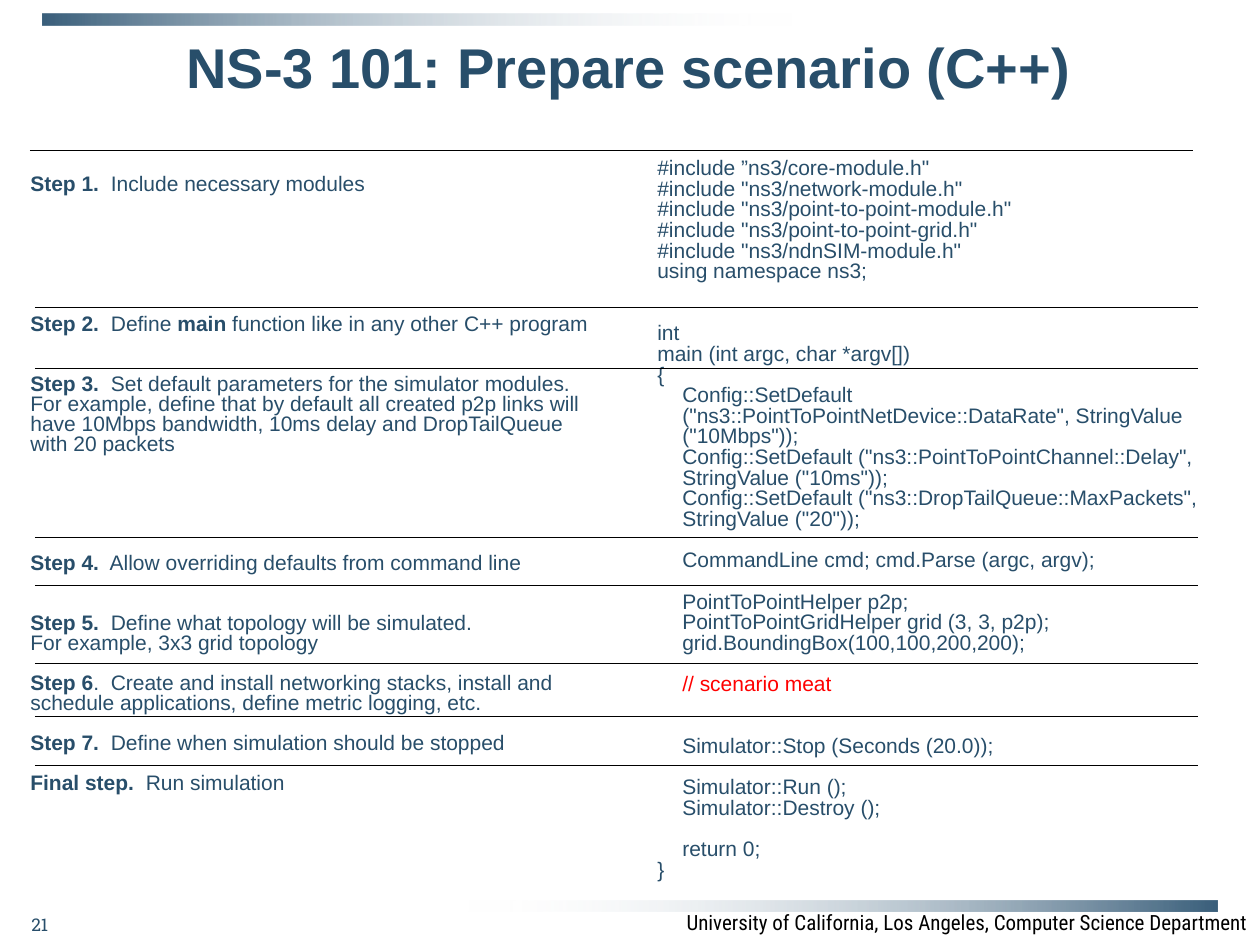
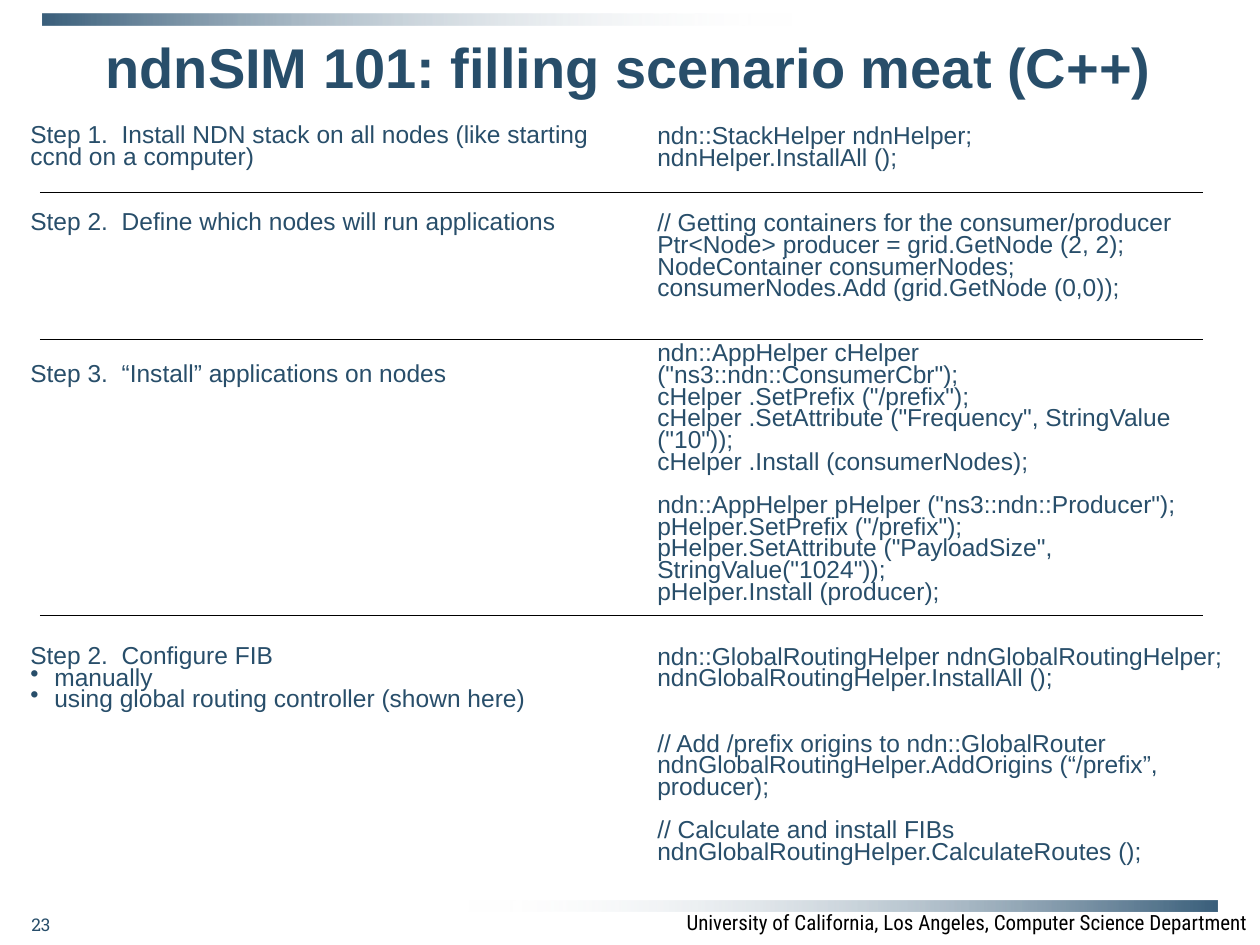
from dataclasses import dataclass
from lxml.etree import SubElement as Sub
from pptx import Presentation
from pptx.dml.color import RGBColor as Rgb
from pptx.enum.shapes import MSO_CONNECTOR as Link, MSO_SHAPE as Form
from pptx.enum.text import MSO_ANCHOR as Anchor, PP_ALIGN as Align
from pptx.oxml.ns import qn
from pptx.util import Emu, Pt


@dataclass(frozen=True)
class Theme:
    ink: str = "284E6A"
    band: str = "3A5F7B"
    white: str = "FFFFFF"
    black: str = "000000"
    red: str = "FF0000"
    sans: str = "Arial"
    slab: str = "Roboto Slab"
    slim: str = "Roboto Condensed"
    title: int = 32
    foot: int = 12
    num: int = 10
    rule: float = 0.5


THEME = Theme()
DPI = 126
SIZE = (1260, 945)
FOOT = "University of California, Los Angeles, Computer Science Department"
BANDS = [((63, 901, 1155, 11), 180), ((42, 14, 1155, 11), 0)]
LEFT, RIGHT = 18, 645
COL_W, COL_H = 595, 753
RULE_W = 1163
INDENT = {"flat": (0, 0), "in": (25, 0), "red": (25, 0), "dot": (24, -24)}

# Each group: blank lines above, kind, lines; a bar switches bold on and off.
SLIDES = [
    {
        "title": "NS-3 101: Prepare scenario (C++)",
        "num": "21",
        "size": 12,
        "rules": [(30, [150]), (35, [307, 368, 537, 585, 663, 716, 765])],
        "cols": [
            (RIGHT, 112, 11.8, [
                (2, "flat", [
                    '#include ”ns3/core-module.h"',
                    '#include "ns3/network-module.h"',
                    '#include "ns3/point-to-point-module.h"',
                    '#include "ns3/point-to-point-grid.h"',
                    '#include "ns3/ndnSIM-module.h"',
                    "using namespace ns3;",
                ]),
                (2, "flat", ["int", "main (int argc, char *argv[])", "{"]),
                (0, "in", [
                    'Config::SetDefault ("ns3::PointToPointNetDevice::DataRate", StringValue ("10Mbps"));',
                    'Config::SetDefault ("ns3::PointToPointChannel::Delay", StringValue ("10ms"));',
                    'Config::SetDefault ("ns3::DropTailQueue::MaxPackets", StringValue ("20"));',
                ]),
                (1, "in", ["CommandLine cmd; cmd.Parse (argc, argv);"]),
                (1, "in", [
                    "PointToPointHelper p2p;",
                    "PointToPointGridHelper grid (3, 3, p2p);",
                    "grid.BoundingBox(100,100,200,200);",
                ]),
                (1, "red", ["// scenario meat"]),
                (2, "in", ["Simulator::Stop (Seconds (20.0));"]),
                (1, "in", ["Simulator::Run ();", "Simulator::Destroy ();"]),
                (1, "in", ["return 0;"]),
                (0, "flat", ["}"]),
            ]),
            (LEFT, 110, 11.4, [
                (3, "flat", ["|Step 1. | Include necessary modules"]),
                (6, "flat", ["|Step 2. | Define |main| function like in any other C++ program"]),
                (2, "flat", [
                    "|Step 3. | Set default parameters for the simulator modules.",
                    "For example, define that by default all created p2p links will have "
                    "10Mbps bandwidth, 10ms delay and DropTailQueue with 20 packets",
                ]),
                (5, "flat", ["|Step 4.|  Allow overriding defaults from command line"]),
                (2, "flat", [
                    "|Step 5.|  Define what topology will be simulated.",
                    "For example, 3x3 grid topology",
                ]),
                (1, "flat", [
                    "|Step 6|.  Create and install networking stacks, install and "
                    "schedule applications, define metric logging, etc.",
                ]),
                (1, "flat", ["|Step 7.|  Define when simulation should be stopped"]),
                (1, "flat", ["|Final step. | Run simulation"]),
            ]),
        ],
    },
    {
        "title": "ndnSIM 101: filling scenario meat (C++)",
        "num": "23",
        "size": 14,
        "rules": [(40, [192, 339, 615])],
        "cols": [
            (RIGHT, 122, 12.4, [
                (0, "flat", ["ndn::StackHelper ndnHelper;", "ndnHelper.InstallAll ();"]),
                (2, "flat", [
                    "// Getting containers for the consumer/producer",
                    "Ptr<Node> producer = grid.GetNode (2, 2);",
                    "NodeContainer consumerNodes;",
                    "consumerNodes.Add (grid.GetNode (0,0));",
                ]),
                (2, "flat", [
                    'ndn::AppHelper cHelper ("ns3::ndn::ConsumerCbr");',
                    'cHelper .SetPrefix ("/prefix");',
                    'cHelper .SetAttribute ("Frequency", StringValue ("10"));',
                    "cHelper .Install (consumerNodes);",
                ]),
                (1, "flat", [
                    'ndn::AppHelper pHelper ("ns3::ndn::Producer");',
                    'pHelper.SetPrefix ("/prefix");',
                    'pHelper.SetAttribute ("PayloadSize", StringValue("1024"));',
                    "pHelper.Install (producer);",
                ]),
                (2, "flat", [
                    "ndn::GlobalRoutingHelper ndnGlobalRoutingHelper;",
                    "ndnGlobalRoutingHelper.InstallAll ();",
                ]),
                (2, "flat", [
                    "// Add /prefix origins to ndn::GlobalRouter",
                    "ndnGlobalRoutingHelper.AddOrigins (“/prefix”, producer);",
                ]),
                (1, "flat", [
                    "// Calculate and install FIBs",
                    "ndnGlobalRoutingHelper.CalculateRoutes ();",
                ]),
            ]),
            (LEFT, 121, 12.4, [
                (0, "flat", ["Step 1.  Install NDN stack on all nodes (like starting ccnd on a computer)"]),
                (2, "flat", ["Step 2.  Define which nodes will run applications"]),
                (6, "flat", ["Step 3.  “Install” applications on nodes"]),
                (12, "flat", ["Step 2.  Configure FIB"]),
                (0, "dot", ["manually", "using global routing controller (shown here)"]),
            ]),
        ],
    },
]


def px(num):
    return Emu(round(num * 914400 / DPI))


def add_run(para, text, size, face=THEME.sans, tint=THEME.ink, bold=False):
    run = para.add_run()
    run.text = text
    font = run.font
    font.size, font.name, font.bold = Pt(size), face, bold
    font.color.rgb = Rgb.from_string(tint)


def add_box(slide, *area):
    frame = slide.shapes.add_textbox(*map(px, area)).text_frame
    frame.word_wrap = True
    return frame


def add_label(slide, area, text, align, *style, anchor=Anchor.TOP):
    frame = add_box(slide, *area)
    frame.vertical_anchor = anchor
    para = frame.paragraphs[0]
    para.alignment = align
    add_run(para, text, *style)


def add_band(slide, area, angle):
    band = slide.shapes.add_shape(Form.RECTANGLE, *map(px, area))
    band.shadow.inherit = False
    band.line.fill.background()
    fill = band.fill
    fill.gradient()
    fill.gradient_angle = angle
    start, end = fill.gradient_stops
    start.position, end.position = 0, 0.65
    start.color.rgb = Rgb.from_string(THEME.band)
    end.color.rgb = Rgb.from_string(THEME.white)
    tints = list(band.element.spPr.iter(qn("a:srgbClr")))
    Sub(tints[-1], qn("a:alpha"), val="0")


def add_rule(slide, left, top):
    rule = slide.shapes.add_connector(
        Link.STRAIGHT, px(left), px(top), px(left + RULE_W), px(top))
    rule.line.color.rgb = Rgb.from_string(THEME.black)
    rule.line.width = Pt(THEME.rule)
    Sub(rule.element.spPr, qn("a:effectLst"))


def add_column(slide, size, left, top, pitch, groups):
    drop = round(groups[0][0] * pitch * DPI / 72)
    frame = add_box(slide, left, top + drop, COL_W, COL_H - drop)
    rows = [(gap if not pos else 0, kind, line)
            for gap, kind, lines in groups for pos, line in enumerate(lines)]
    for pos, (gap, kind, line) in enumerate(rows):
        para = frame.add_paragraph() if pos else frame.paragraphs[0]
        props = para._p.get_or_add_pPr()
        for key, num in zip(("marL", "indent"), INDENT[kind]):
            props.set(key, str(px(num)))
        if kind == "dot":
            Sub(props, qn("a:buChar"), char="•")
        para.line_spacing = Pt(pitch)
        if pos and gap:
            para.space_before = Pt(gap * pitch)
        tint = THEME.red if kind == "red" else THEME.ink
        for part, text in enumerate(line.split("|")):
            if text:
                add_run(para, text, size, tint=tint, bold=part % 2 == 1)


def add_frame(slide, title, num):
    for area, angle in BANDS:
        add_band(slide, area, angle)
    add_label(slide, (200, 903, 1060, 38), FOOT, Align.RIGHT,
              THEME.foot, THEME.slim, THEME.black)
    add_label(slide, (18, 26, 1222, 93), title, Align.CENTER,
              THEME.title, THEME.sans, THEME.ink, True)
    add_label(slide, (19, 900, 73, 50), num, Align.LEFT,
              THEME.num, THEME.slab, anchor=Anchor.MIDDLE)


def main():
    deck = Presentation()
    deck.slide_width, deck.slide_height = map(px, SIZE)
    for data in SLIDES:
        slide = deck.slides.add_slide(deck.slide_layouts[6])
        add_frame(slide, data["title"], data["num"])
        for col in data["cols"]:
            add_column(slide, data["size"], *col)
        for left, tops in data["rules"]:
            for top in tops:
                add_rule(slide, left, top)
    deck.save("out.pptx")


if __name__ == "__main__":
    main()
